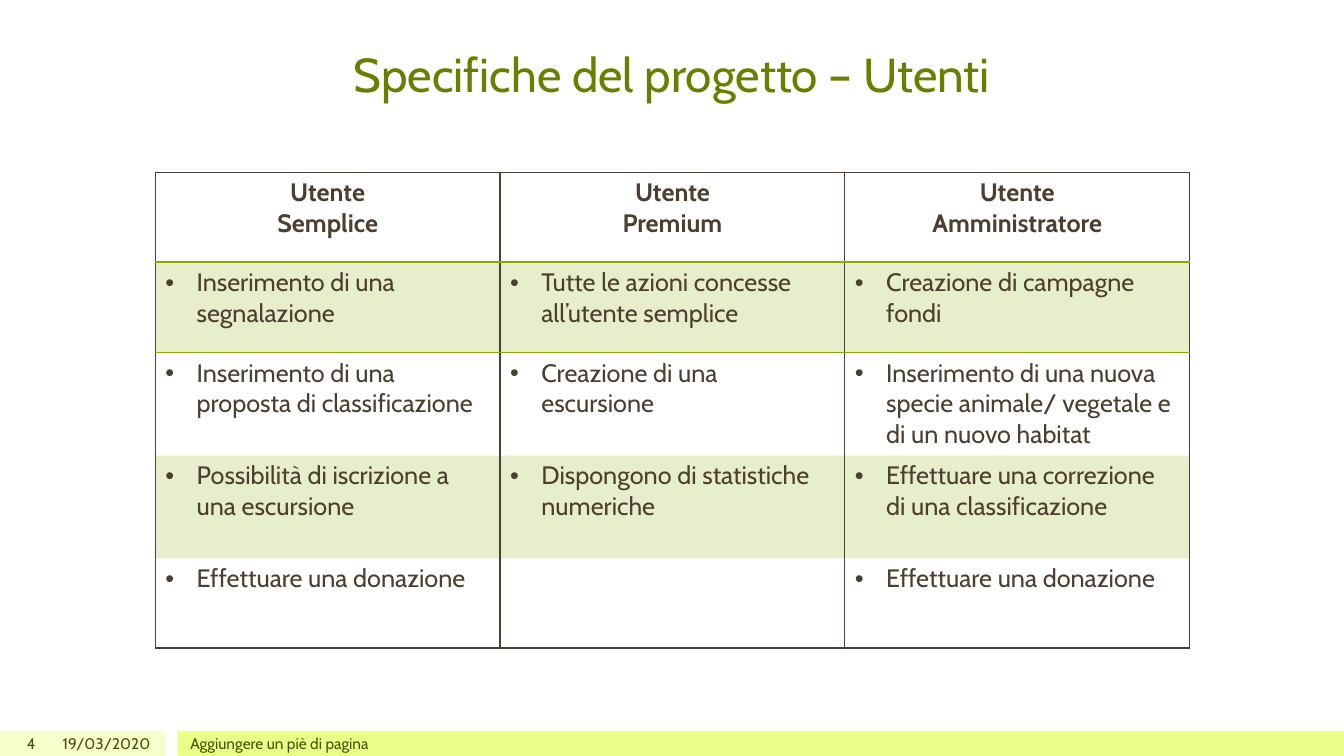
from dataclasses import dataclass

from lxml import etree
from pptx import Presentation
from pptx.dml.color import RGBColor
from pptx.enum import shapes, text
from pptx.oxml import ns
from pptx.util import Inches, Pt

FONT = "Cabin"
BROWN, GREEN, TITLE_GREEN, FOOTER_GREEN = "4D3E2F", "8BAA00", "688000", "455500"
LEFT, CENTER, RIGHT = text.PP_ALIGN.LEFT, text.PP_ALIGN.CENTER, text.PP_ALIGN.RIGHT


@dataclass
class Band:
    left: float
    width: float
    color: str


@dataclass
class FooterText:
    left: float
    width: float
    wording: str
    align: text.PP_ALIGN


BANDS = [Band(0, 1.64, "F6FFCC"), Band(1.76, 11.57, "E9FF88")]
FOOTERS = [
    FooterText(0, 0.45, "4", RIGHT),
    FooterText(0.5, 1.09, "19/03/2020", RIGHT),
    FooterText(1.79, 10, "Aggiungere un piè di pagina", LEFT),
]
FOOTER_TOP, FOOTER_HEIGHT = 7.25, 0.25

USERS = [
    ["Utente\nSemplice", "Utente\nPremium", "Utente\nAmministratore"],
    ["Inserimento di una segnalazione",
     "Tutte le azioni concesse all’utente semplice",
     "Creazione di campagne fondi"],
    ["Inserimento di una proposta di classificazione",
     "Creazione di una escursione",
     "Inserimento di una nuova specie animale/ vegetale e di un nuovo habitat"],
    ["Possibilità di iscrizione a una escursione",
     "Dispongono di statistiche numeriche",
     "Effettuare una correzione di una classificazione"],
    ["Effettuare una donazione", "", "Effettuare una donazione"],
]
ROW_HEIGHTS = [0.89, 0.9, 1.02, 1.02, 0.89]
COLUMN_WIDTH = 3.42
INDENT = 0.31
NO_STYLE = "{2D5ABB26-0587-4C30-8999-92F81FD0307C}"


def rgb(color: str) -> RGBColor:
    return RGBColor.from_string(color)


def format_text(frame, size: float, color: str, align, bold: bool = False) -> None:
    for para in frame.paragraphs:
        para.alignment = align
        for span in para.runs:
            span.font.name, span.font.size, span.font.bold = FONT, Pt(size), bold
            span.font.color.rgb = rgb(color)


def add_bullet(para) -> None:
    properties = para._p.get_or_add_pPr()
    properties.set("marL", str(Inches(INDENT)))
    properties.set("indent", str(-Inches(INDENT)))
    bullet_font = etree.SubElement(properties, ns.qn("a:buFont"))
    bullet_font.set("typeface", "Arial")
    etree.SubElement(properties, ns.qn("a:buChar")).set("char", "•")


def add_borders(cell, borders: dict[str, str]) -> None:
    """Draw 1 pt lines on the sides given in the order L, R, T, B."""
    properties = cell._tc.get_or_add_tcPr()
    for position, (side, color) in enumerate(borders.items()):
        line = etree.Element(ns.qn(f"a:ln{side}"), w=str(Pt(1)))
        fill = etree.SubElement(line, ns.qn("a:solidFill"))
        etree.SubElement(fill, ns.qn("a:srgbClr")).set("val", color)
        properties.insert(position, line)


def shade(cell) -> None:
    cell.fill.solid()
    cell.fill.fore_color.rgb = rgb(GREEN)
    color = cell._tc.tcPr.find(".//" + ns.qn("a:srgbClr"))
    etree.SubElement(color, ns.qn("a:alpha")).set("val", "20000")


def add_band(page, band: Band) -> None:
    box = page.shapes.add_shape(
        shapes.MSO_SHAPE.RECTANGLE, Inches(band.left), Inches(FOOTER_TOP),
        Inches(band.width), Inches(FOOTER_HEIGHT))
    box.shadow.inherit = False
    box.fill.solid()
    box.fill.fore_color.rgb = rgb(band.color)
    box.line.fill.background()


def add_footer(page, footer: FooterText) -> None:
    box = page.shapes.add_textbox(
        Inches(footer.left), Inches(FOOTER_TOP),
        Inches(footer.width), Inches(FOOTER_HEIGHT))
    frame = box.text_frame
    frame.word_wrap = True
    frame.margin_top = frame.margin_bottom = 0
    frame.vertical_anchor = text.MSO_ANCHOR.MIDDLE
    frame.text = footer.wording
    format_text(frame, 11, FOOTER_GREEN, footer.align)


def add_title(page, wording: str) -> None:
    title = page.shapes.title
    title.left, title.top = Inches(1.54), Inches(0.3)
    title.width, title.height = Inches(10.25), Inches(1.29)
    frame = title.text_frame
    frame.auto_size = text.MSO_AUTO_SIZE.NONE
    frame.vertical_anchor = text.MSO_ANCHOR.BOTTOM
    frame.margin_bottom = Inches(0.58)
    frame.text = wording
    format_text(frame, 34, TITLE_GREEN, CENTER)


def add_user_table(page) -> None:
    columns, last_row = len(USERS[0]), len(USERS) - 1
    table = page.shapes.add_table(
        len(USERS), columns, Inches(1.54), Inches(1.71),
        Inches(COLUMN_WIDTH * columns), Inches(sum(ROW_HEIGHTS))).table
    table.first_row = table.horz_banding = False
    table._tbl.tblPr.find(ns.qn("a:tableStyleId")).text = NO_STYLE
    for column in table.columns:
        column.width = Inches(COLUMN_WIDTH)
    for row, (height, wordings) in enumerate(zip(ROW_HEIGHTS, USERS)):
        table.rows[row].height = Inches(height)
        for column, wording in enumerate(wordings):
            cell = table.cell(row, column)
            cell.text_frame.text = wording
            header = row == 0
            format_text(cell.text_frame, 18, BROWN, CENTER if header else LEFT, header)
            if wording and not header:
                add_bullet(cell.text_frame.paragraphs[0])
            if row % 2:
                shade(cell)
            borders = {"L": BROWN, "R": BROWN}
            if header:
                borders |= {"T": BROWN, "B": GREEN}
            elif row == 1:
                borders["T"] = GREEN
            elif row == last_row:
                borders["B"] = BROWN
            add_borders(cell, borders)


def main() -> None:
    deck = Presentation()
    deck.slide_width, deck.slide_height = Inches(13.33), Inches(7.5)
    page = deck.slides.add_slide(deck.slide_layouts.get_by_name("Title Only"))

    # Footer bands
    for band in BANDS:
        add_band(page, band)

    # Title and table
    add_title(page, "Specifiche del progetto – Utenti")
    add_user_table(page)

    # Page number, date and footer
    for footer in FOOTERS:
        add_footer(page, footer)

    deck.save("out.pptx")


if __name__ == "__main__":
    main()
